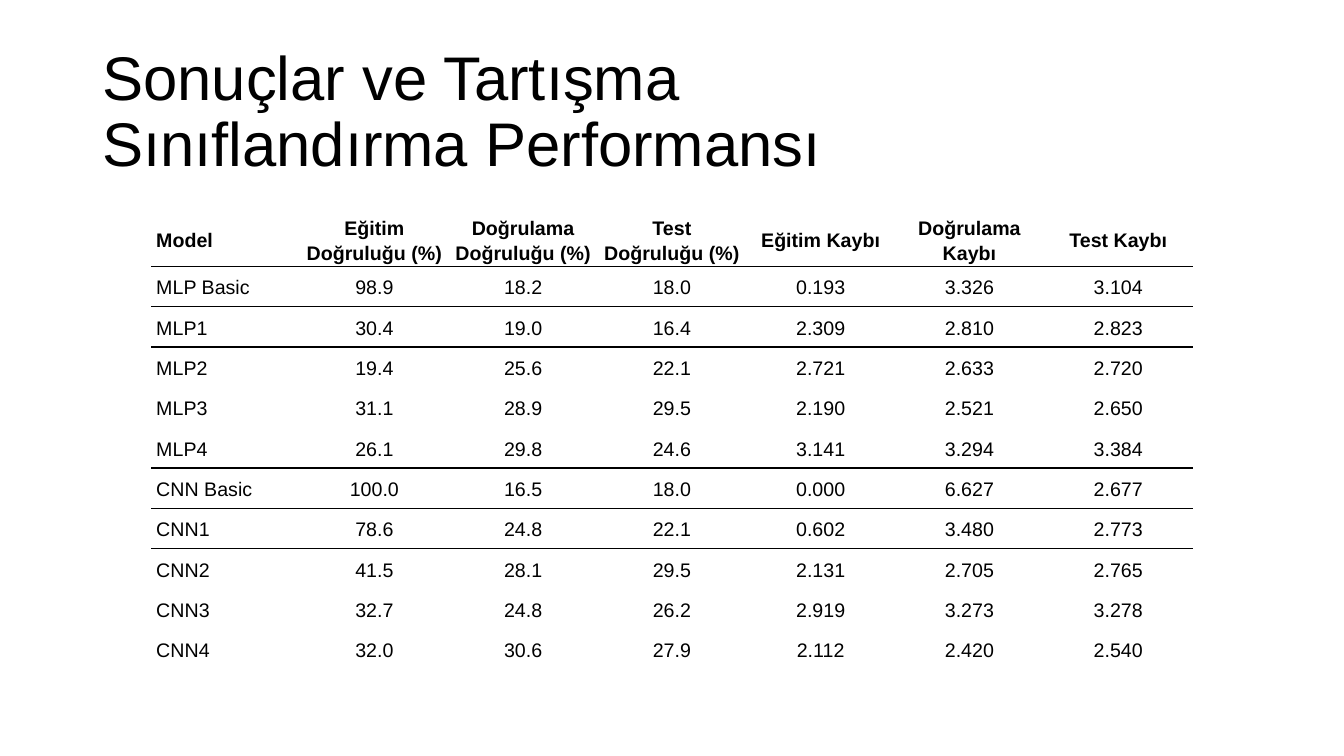
from lxml.etree import SubElement
from pptx import Presentation
from pptx.dml.color import RGBColor
from pptx.enum.text import MSO_ANCHOR, PP_ALIGN
from pptx.oxml.ns import qn
from pptx.util import Pt

TITLE = "Sonuçlar ve Tartışma\vSınıflandırma Performansı"
HEADER = ["Model", "Eğitim Doğruluğu (%)", "Doğrulama Doğruluğu (%)", "Test Doğruluğu (%)",
          "Eğitim Kaybı", "Doğrulama Kaybı", "Test Kaybı"]
RESULTS = [
    ("MLP Basic", "98.9", "18.2", "18.0", "0.193", "3.326", "3.104"),
    ("MLP1", "30.4", "19.0", "16.4", "2.309", "2.810", "2.823"),
    ("MLP2", "19.4", "25.6", "22.1", "2.721", "2.633", "2.720"),
    ("MLP3", "31.1", "28.9", "29.5", "2.190", "2.521", "2.650"),
    ("MLP4", "26.1", "29.8", "24.6", "3.141", "3.294", "3.384"),
    ("CNN Basic", "100.0", "16.5", "18.0", "0.000", "6.627", "2.677"),
    ("CNN1", "78.6", "24.8", "22.1", "0.602", "3.480", "2.773"),
    ("CNN2", "41.5", "28.1", "29.5", "2.131", "2.705", "2.765"),
    ("CNN3", "32.7", "24.8", "26.2", "2.919", "3.273", "3.278"),
    ("CNN4", "32.0", "30.6", "27.9", "2.112", "2.420", "2.540"),
]
RULED = {"Model", "MLP Basic", "MLP4", "CNN Basic"}
COLORS = {"text": "000000", "rule": "000000"}
NO_STYLE = "{2D5ABB26-0587-4C30-8999-92F81FD0307C}"
LEFT, TOP, WIDTH = 108, 151.9, 743.9
HEADER_H, ROW_H = 36.7, 28.8


def write(tf, text, size, bold=False, align=PP_ALIGN.LEFT, spacing=1.0):
    tf.word_wrap = True
    p = tf.paragraphs[0]
    p.text = text
    p.alignment = align
    p.line_spacing = spacing
    for r in p.runs:
        r.font.name = "Arial"
        r.font.size = Pt(size)
        r.font.bold = bold
        r.font.color.rgb = RGBColor.from_string(COLORS["text"])


def add_rule(cell, side):
    tcPr = cell._tc.get_or_add_tcPr()
    ln = SubElement(tcPr, qn(f"a:{side}"), w=str(Pt(1)))
    SubElement(SubElement(ln, qn("a:solidFill")), qn("a:srgbClr"), val=COLORS["rule"])


def main():
    prs = Presentation()
    prs.slide_width, prs.slide_height = Pt(960), Pt(540)
    s = prs.slides.add_slide(prs.slide_layouts[6])

    title = s.shapes.add_textbox(Pt(66), Pt(28.75), Pt(828), Pt(104.4))
    title.text_frame.vertical_anchor = MSO_ANCHOR.MIDDLE
    write(title.text_frame, TITLE, 44, spacing=0.9)

    rows = [HEADER, *RESULTS]
    height = HEADER_H + ROW_H * len(RESULTS)
    frame = s.shapes.add_table(len(rows), len(HEADER), Pt(LEFT), Pt(TOP), Pt(WIDTH), Pt(height))
    table = frame.table
    table.horz_banding = False
    table._tbl.tblPr.find(qn("a:tableStyleId")).text = NO_STYLE
    for col in table.columns:
        col.width = Pt(WIDTH / len(HEADER))

    for i, values in enumerate(rows):
        table.rows[i].height = Pt(ROW_H if i else HEADER_H)
        for j, value in enumerate(values):
            cell = table.cell(i, j)
            cell.vertical_anchor = MSO_ANCHOR.MIDDLE
            cell.margin_left = cell.margin_right = Pt(3.6)
            cell.margin_top = cell.margin_bottom = Pt(0)
            write(cell.text_frame, value, 14, bold=i == 0, spacing=1.14,
                  align=PP_ALIGN.CENTER if j else PP_ALIGN.LEFT)
            if i and rows[i - 1][0] in RULED:
                add_rule(cell, "lnT")
            if values[0] in RULED:
                add_rule(cell, "lnB")
            cell.fill.background()

    prs.save("out.pptx")


if __name__ == "__main__":
    main()
